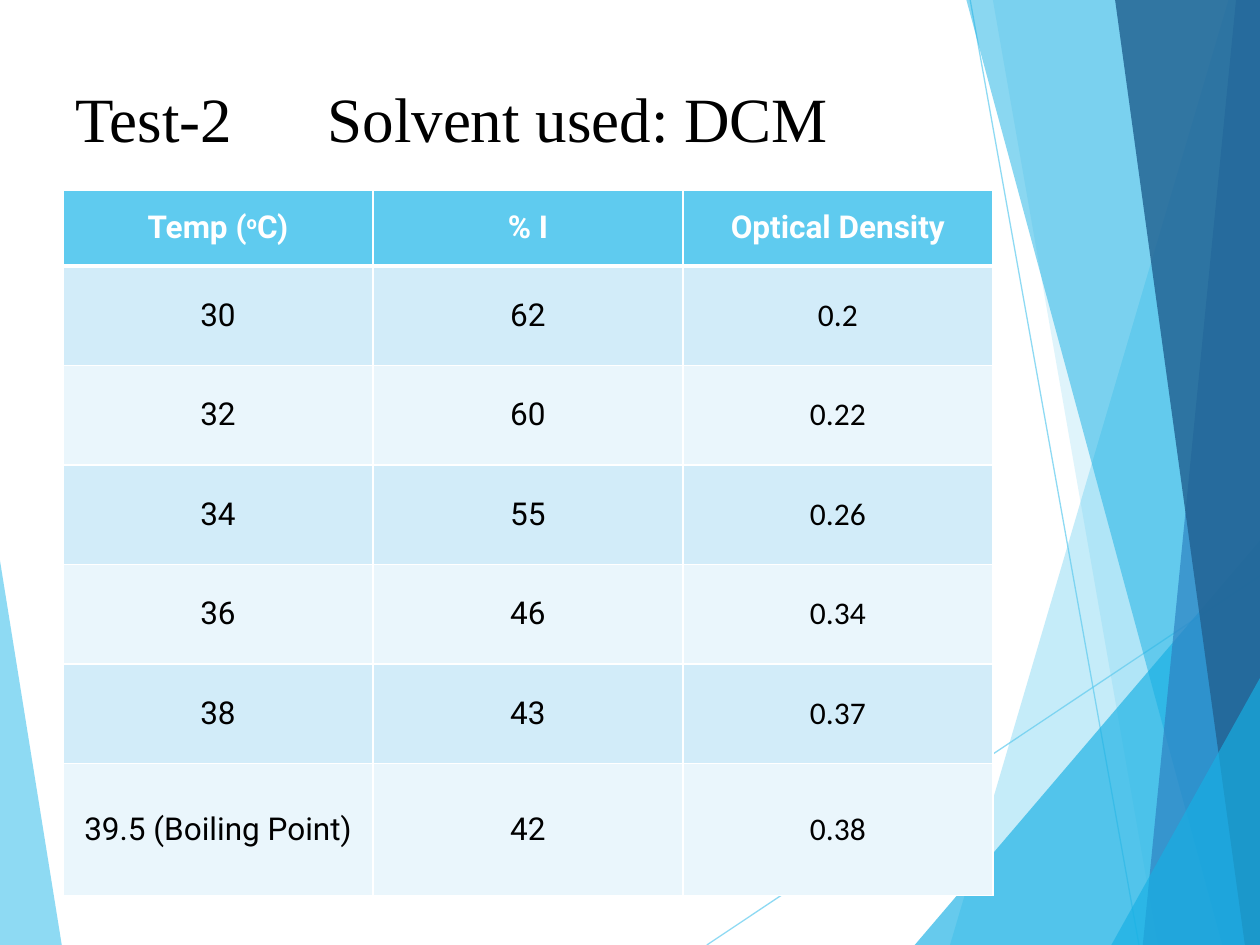
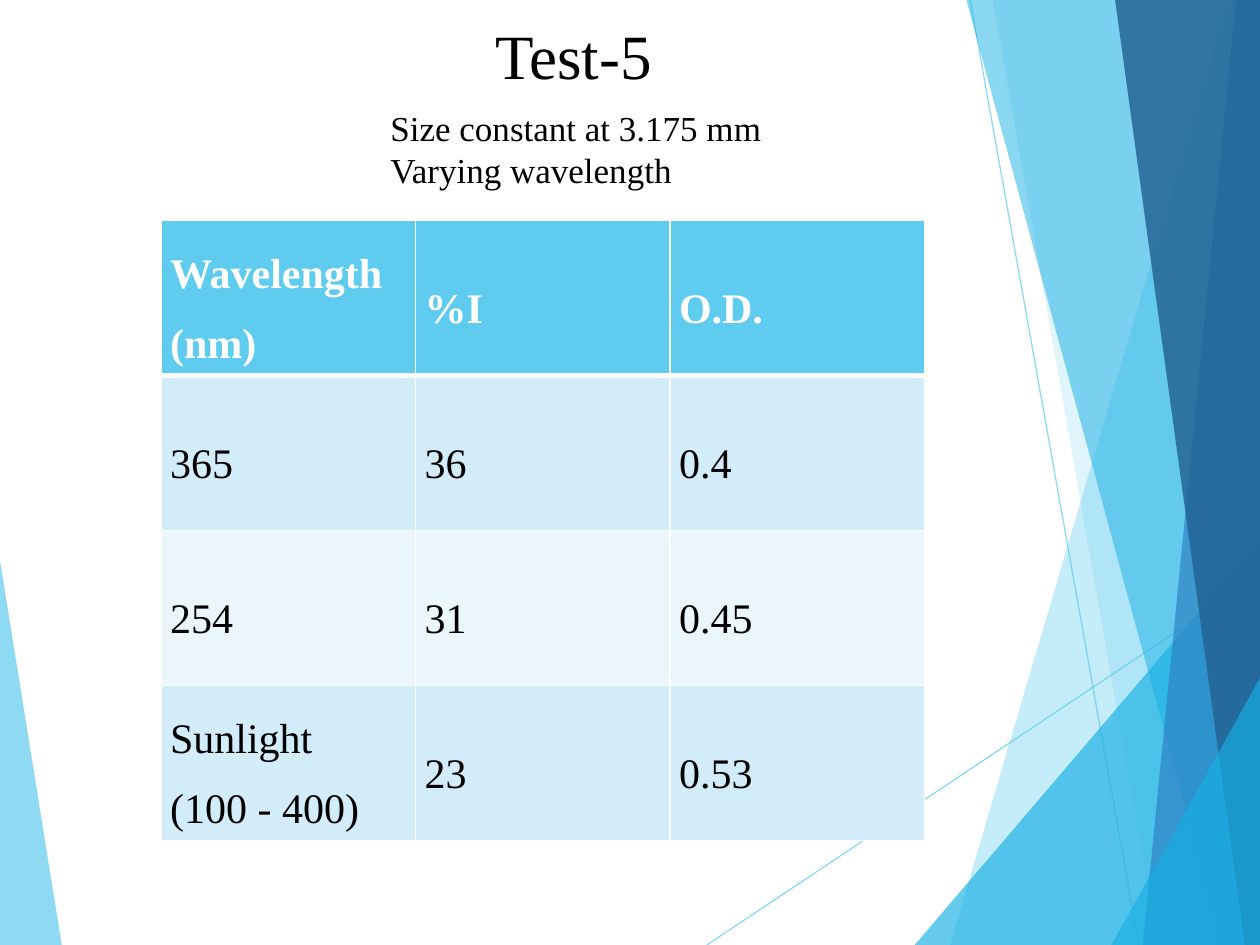
from pptx import Presentation
from pptx import util as u
from pptx.dml import color
from pptx.enum import shapes, text
from pptx.oxml import ns
from lxml import etree

SERIF = "Times New Roman"
SKY, BLUE, WHITE, BLACK = "5FCBEF", "17B0E4", "FFFFFF", "000000"
BANDS = ["D2ECF9", "EAF6FC"]
rgb = color.RGBColor.from_string

# Background facets: colour, opacity in percent, corners
FACETS = [
    (SKY, 70, [(0, 4.45), (0.49, 7.5), (0, 7.5)]),
    (SKY, 36, [(9.75, 0), (7.54, 7.5), (10, 7.5), (10, 0)]),
    (SKY, 20, [(7.88, 0), (9.19, 7.5), (10, 7.5), (10, 0)]),
    (BLUE, 66, [(7.26, 7.5), (10, 4.29), (10, 7.5)]),
    (BLUE, 50, [(7.67, 0), (9.7, 7.5), (10, 7.5), (10, 0)]),
    ("2E83C3", 70, [(9.81, 0), (9.07, 7.5), (10, 7.5), (10, 0)]),
    ("226292", 82, [(8.85, 0), (9.88, 7.5), (10, 7.5), (10, 0)]),
    (BLUE, 66, [(8.82, 7.5), (10, 5.38), (10, 7.5)]),
]
RAYS = [(5.61, 7.5, 10, 4.57), (7.7, 0, 9.04, 7.5)]

# Content of each slide
PAGES = [
    dict(
        title="Test-2\tSolvent used: DCM", spot=(0.5, 0.58, 7.83, 0.71), note="",
        place=(0.5, 1.51), width=2.46, rows=[0.6] + [0.79] * 5 + [1.05],
        font="Roboto", size=18, align=text.PP_ALIGN.CENTER, gap=1.0,
        inset=(0.1, 0.05), last="Calibri",
        cells=[
            ["Temp (oC)", "% I", "Optical Density"],
            ["30", "62", "0.2"],
            ["32", "60", "0.22"],
            ["34", "55", "0.26"],
            ["36", "46", "0.34"],
            ["38", "43", "0.37"],
            ["39.5 (Boiling Point)", "42", "0.38"],
        ],
    ),
    dict(
        title="Test-5", spot=(3.83, 0.08, 6, 0.71),
        note="Size constant at 3.175 mm\nVarying wavelength",
        place=(1.28, 1.75), width=2.02, rows=[1.23] * 4,
        font=SERIF, size=24, align=text.PP_ALIGN.JUSTIFY, gap=1.5,
        inset=(0.07, 0), last=SERIF,
        cells=[
            ["Wavelength\n(nm)", "%I", "O.D."],
            ["365", "36", "0.4"],
            ["254", "31", "0.45"],
            ["Sunlight\n(100 - 400)", "23", "0.53"],
        ],
    ),
]


def fade(shape, share):
    """Set the opacity of a shape's colour in percent."""
    for tone in shape._element.spPr.iter(ns.qn("a:srgbClr")):
        etree.SubElement(tone, ns.qn("a:alpha")).set("val", str(share * 1000))


def style(para, font, size, hue, bold=False):
    para.font.name = font
    para.font.size = u.Pt(size)
    para.font.bold = bold
    para.font.color.rgb = rgb(hue)


deck = Presentation()
deck.slide_width, deck.slide_height = u.Inches(10), u.Inches(7.5)

for page in PAGES:
    slide = deck.slides.add_slide(deck.slide_layouts[5])

    # Background rays and facets
    for ray in RAYS:
        line = slide.shapes.add_connector(
            shapes.MSO_CONNECTOR.STRAIGHT, *[u.Inches(v) for v in ray])
        line.line.color.rgb = rgb(SKY)
        line.line.width = u.Pt(0.75)
        fade(line, 70)
        etree.SubElement(line._element.spPr, ns.qn("a:effectLst"))
    for hue, share, spots in FACETS:
        pts = [(u.Inches(x), u.Inches(y)) for x, y in spots]
        pen = slide.shapes.build_freeform(*pts[0])
        pen.add_line_segments(pts[1:])
        facet = pen.convert_to_shape()
        facet.shadow.inherit = False
        facet.fill.solid()
        facet.fill.fore_color.rgb = rgb(hue)
        facet.line.fill.background()
        fade(facet, share)

    # Title
    title = slide.shapes.title
    title.left, title.top, title.width, title.height = [u.Inches(v) for v in page["spot"]]
    frame = title.text_frame
    frame.text = page["title"]
    frame.word_wrap = True
    frame.auto_size = text.MSO_AUTO_SIZE.NONE
    frame.vertical_anchor = text.MSO_ANCHOR.TOP
    para = frame.paragraphs[0]
    para.alignment = text.PP_ALIGN.LEFT
    if "\t" in page["title"]:
        tabs = etree.SubElement(para._p.get_or_add_pPr(), ns.qn("a:tabLst"))
        etree.SubElement(tabs, ns.qn("a:tab"), pos=str(u.Inches(2)), algn="l")
    style(para, SERIF, 36, BLACK)

    # Test conditions
    if page["note"]:
        note = slide.shapes.add_textbox(
            u.Inches(3), u.Inches(0.8), u.Inches(4.92), u.Inches(0.77))
        note.text_frame.word_wrap = True
        note.text_frame.text = page["note"]
        for para in note.text_frame.paragraphs:
            style(para, SERIF, 20, BLACK)

    # Table of readings
    left, top = page["place"]
    grid = slide.shapes.add_table(
        len(page["rows"]), 3, u.Inches(left), u.Inches(top),
        u.Inches(3 * page["width"]), u.Inches(sum(page["rows"]))).table
    for col in grid.columns:
        col.width = u.Inches(page["width"])
    for r, tall in enumerate(page["rows"]):
        grid.rows[r].height = u.Inches(tall)
        head = r == 0
        for c, words in enumerate(page["cells"][r]):
            cell = grid.cell(r, c)
            cell.text_frame.text = words
            cell.vertical_anchor = text.MSO_ANCHOR.MIDDLE
            side, edge = page["inset"]
            face = page["font"]
            if c == 2 and not head:
                face = page["last"]
                if face == "Calibri":
                    side = edge = 0.01
            cell.margin_left = cell.margin_right = u.Inches(side)
            cell.margin_top = cell.margin_bottom = u.Inches(edge)
            for para in cell.text_frame.paragraphs:
                para.alignment = page["align"]
                para.line_spacing = page["gap"]
                style(para, face, page["size"], WHITE if head else BLACK, head)

            # White borders, thick under the header
            for tag in ("lnL", "lnR", "lnT", "lnB"):
                thick = (r, tag) in ((0, "lnB"), (1, "lnT"))
                rim = etree.SubElement(
                    cell._tc.get_or_add_tcPr(), ns.qn("a:" + tag),
                    w=str(u.Pt(3 if thick else 1)))
                fill = etree.SubElement(rim, ns.qn("a:solidFill"))
                etree.SubElement(fill, ns.qn("a:srgbClr"), val=WHITE)
            cell.fill.solid()
            cell.fill.fore_color.rgb = rgb(SKY if head else BANDS[(r - 1) % 2])

            # Raised degree sign
            if words == "Temp (oC)":
                para = cell.text_frame.paragraphs[0]
                para.text = ""
                for bit in ("Temp (", "o", "C)"):
                    run = para.add_run()
                    run.text = bit
                    style(run, face, page["size"], WHITE, True)
                    if bit == "o":
                        run.font._element.set("baseline", "30000")

deck.save("out.pptx")
